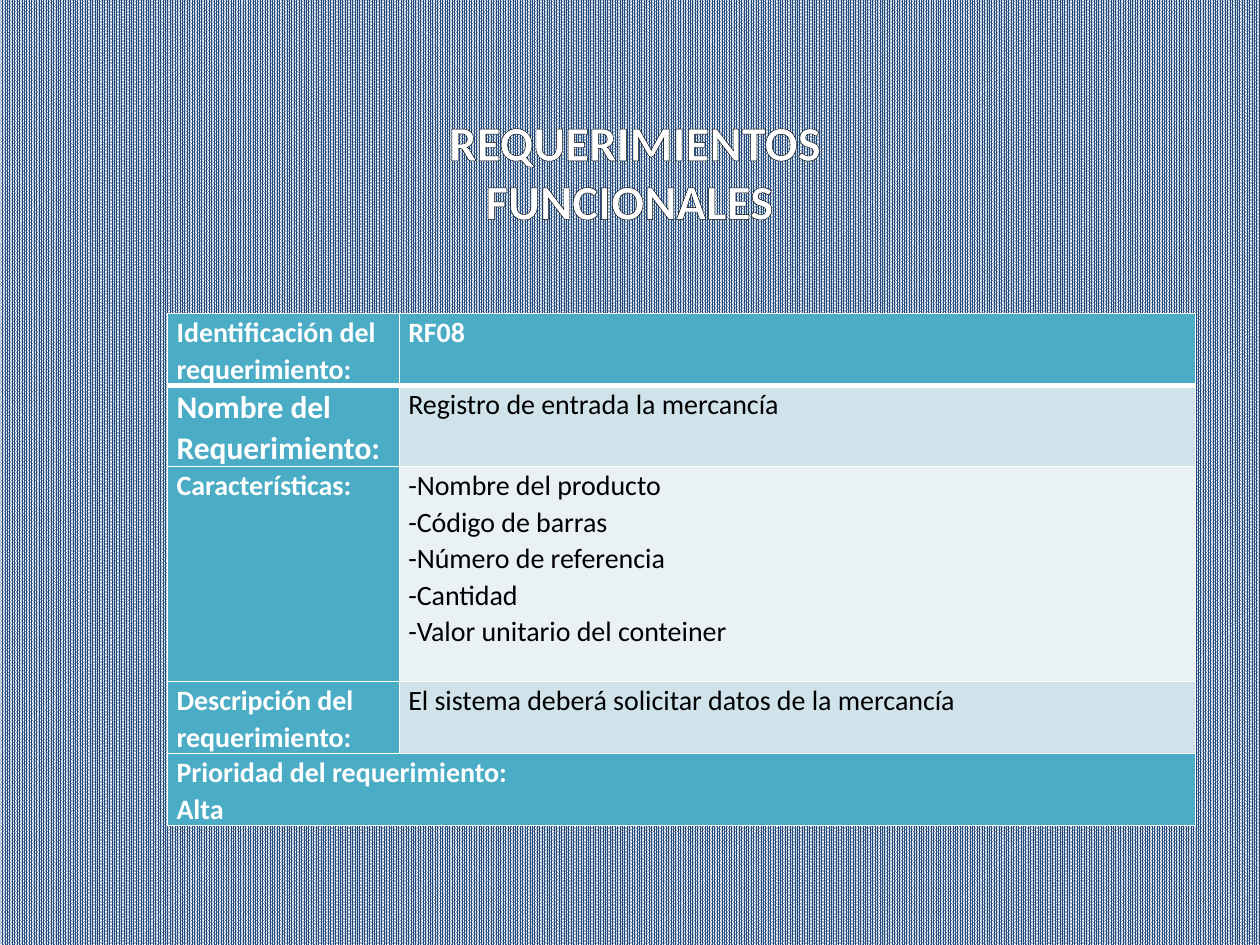
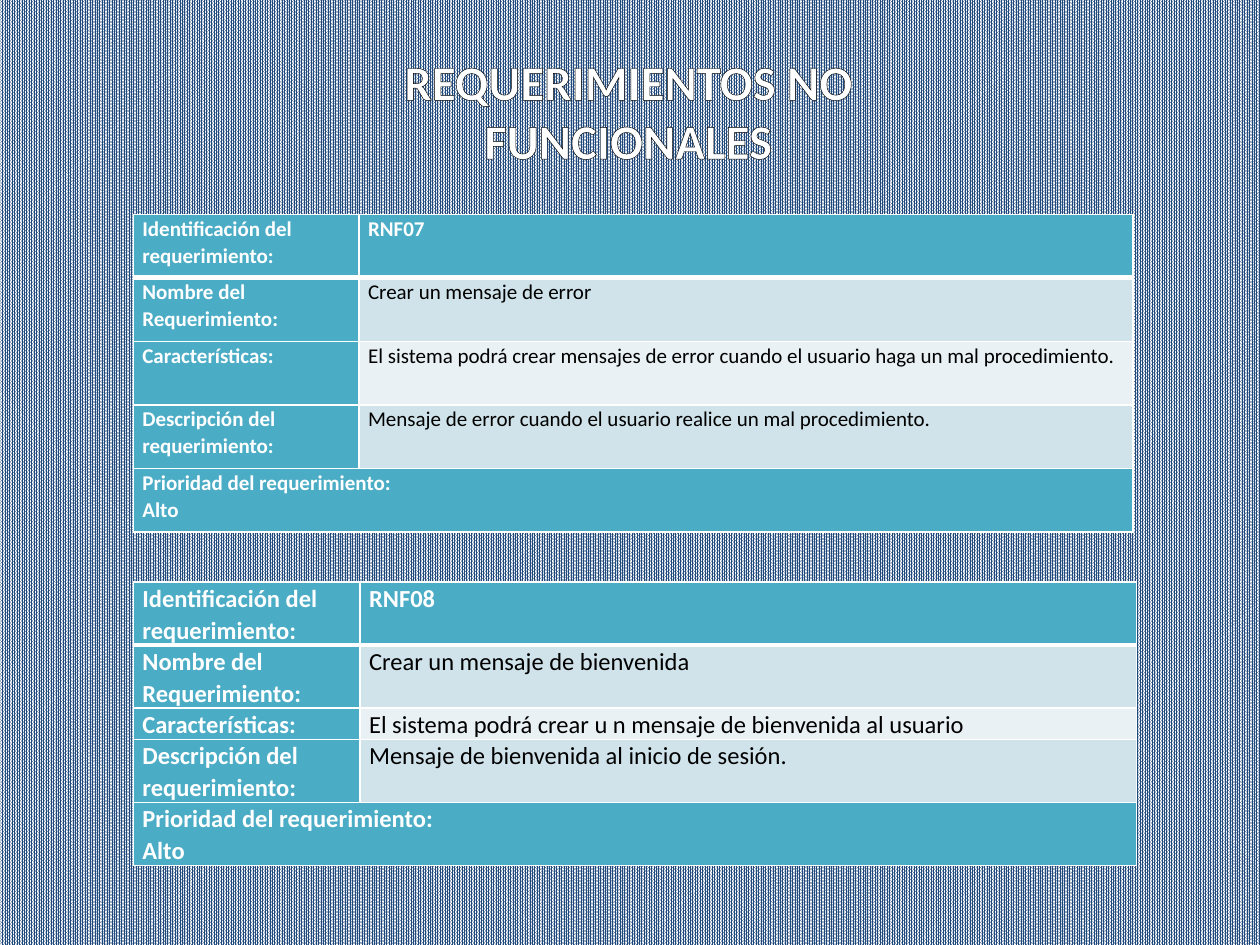
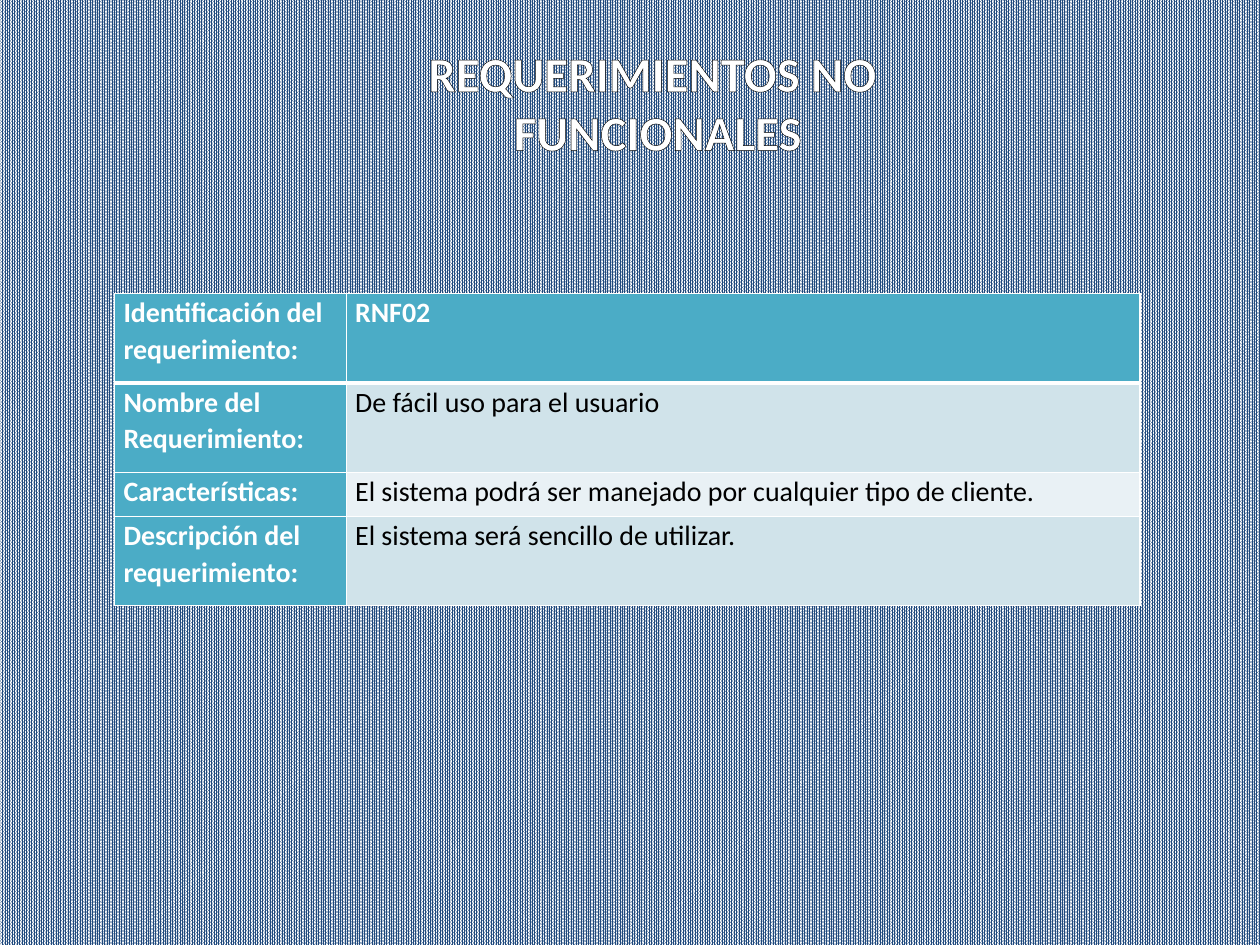
"""Build three slides of functional and non-functional requirement cards."""
from dataclasses import dataclass
from typing import Optional

from pptx import Presentation
from pptx import util as u
from pptx.dml import color
from pptx.enum import dml, text
from pptx.oxml import parse_xml
from pptx.oxml import ns

COLORS = {
    "backdrop": "1F497D",
    "white": "FFFFFF",
    "black": "000000",
    "accent": "4BACC6",
    "band": "D0E3EA",
    "pale_band": "E9F1F5",
}
FONT = "Calibri"
LABELS = (
    "Identificación del requerimiento:",
    "Nombre del Requerimiento:",
    "Características:",
    "Descripción del requerimiento:",
)
PRIORITY_LABEL = "Prioridad del requerimiento:"
CENTER = text.PP_ALIGN.CENTER


@dataclass(frozen=True)
class Title:
    left: float
    top: float
    width: float
    lines: tuple[str, ...]
    wrap: bool = True
    first_align: text.PP_ALIGN = CENTER


@dataclass(frozen=True)
class Requirement:
    left: float
    top: float
    columns: tuple[float, float]
    rows: tuple[float, ...]
    size: int
    values: tuple[str, ...]
    priority: Optional[str] = None
    name_size: Optional[int] = None


@dataclass(frozen=True)
class Page:
    title: Title
    requirements: tuple[Requirement, ...]


PAGES = (
    Page(
        Title(6.45, 2.13, 12.7, ("REQUERIMIENTOS FUNCIONALES ",)),
        (
            Requirement(
                3.38, 6.32, (4.67, 16.05), (1.45, 1.63, 4.34, 1.45, 1.45), 16,
                (
                    "RF08",
                    "Registro de entrada la mercancía",
                    "-Nombre del producto\n-Código de barras\n-Número de referencia\n"
                    "-Cantidad\n-Valor unitario del conteiner",
                    "El sistema deberá solicitar datos de la mercancía",
                ),
                priority="Alta", name_size=18,
            ),
        ),
    ),
    Page(
        Title(7.9, 0.91, 10.31, ("REQUERIMIENTOS NO", "FUNCIONALES"),
              wrap=False, first_align=text.PP_ALIGN.LEFT),
        (
            Requirement(
                2.69, 4.32, (4.55, 15.6), (1.28,) * 5, 12,
                (
                    "RNF07",
                    "Crear un mensaje de error",
                    "El sistema podrá crear mensajes de error cuando el usuario "
                    "haga un mal procedimiento.",
                    "Mensaje de error cuando el usuario realice un mal procedimiento.",
                ),
                priority="Alto",
            ),
            Requirement(
                2.69, 11.73, (4.57, 15.65), (1.27, 1.27, 0.63, 1.27, 1.27), 14,
                (
                    "RNF08",
                    "Crear un mensaje de bienvenida",
                    "El sistema podrá crear u n mensaje de bienvenida al usuario",
                    "Mensaje de bienvenida al inicio de sesión.",
                ),
                priority="Alto",
            ),
        ),
    ),
    Page(
        Title(6.91, 0.74, 12.7, ("REQUERIMIENTOS NO ", "FUNCIONALES")),
        (
            Requirement(
                2.31, 5.92, (4.67, 16.0), (1.8, 1.8, 0.89, 1.8), 16,
                (
                    "RNF02",
                    "De fácil uso para el usuario",
                    "El sistema podrá ser manejado por cualquier tipo de cliente.",
                    "El sistema será sencillo de utilizar.",
                ),
            ),
        ),
    ),
)


def rgb(name: str) -> color.RGBColor:
    """Return the named colour."""
    return color.RGBColor.from_string(COLORS[name])


def line_xml(tag: str, points: float, name: str):
    """Return a solid line element of the given tag and width."""
    return parse_xml(
        f'<a:{tag} {ns.nsdecls("a")} w="{u.Pt(points)}"><a:solidFill>'
        f'<a:srgbClr val="{COLORS[name]}"/></a:solidFill></a:{tag}>'
    )


def style_font(font, size: int, name: str, bold: bool) -> None:
    """Apply the shared typeface with a size, colour and weight."""
    font.name, font.size, font.bold = FONT, u.Pt(size), bold
    font.color.rgb = rgb(name)


def draw_title(page, title: Title) -> None:
    """Draw the outlined white heading."""
    box = page.shapes.add_textbox(
        u.Cm(title.left), u.Cm(title.top), u.Cm(title.width), u.Cm(2.64))
    frame = box.text_frame
    frame.word_wrap = title.wrap
    frame.auto_size = text.MSO_AUTO_SIZE.SHAPE_TO_FIT_TEXT
    frame.text = "\n".join(title.lines)
    for index, para in enumerate(frame.paragraphs):
        para.alignment = CENTER if index else title.first_align
        style_font(para.font, 28, "white", True)
        for span in para.runs:
            span._r.get_or_add_rPr().insert(0, line_xml("ln", 0.71, "black"))


def fill_cell(cell, content: str, size: int, fill: str,
              strong: bool = True, bottom: float = 1) -> None:
    """Write a cell with its borders, fill and text style."""
    cell.margin_left = cell.margin_right = u.Cm(0.18)
    cell.margin_top = cell.margin_bottom = 0
    properties = cell._tc.get_or_add_tcPr()
    for tag, width in (("lnL", 1), ("lnR", 1), ("lnT", 1), ("lnB", bottom)):
        properties.append(line_xml(tag, width, "white"))
    cell.fill.solid()
    cell.fill.fore_color.rgb = rgb(fill)
    cell.text_frame.text = content
    for para in cell.text_frame.paragraphs:
        para.line_spacing = 1.07
        style_font(para.font, size, "white" if strong else "black", strong)


def draw_requirement(page, card: Requirement) -> None:
    """Draw one requirement as a two-column table."""
    table = page.shapes.add_table(
        len(card.rows), 2, u.Cm(card.left), u.Cm(card.top),
        u.Cm(sum(card.columns)), u.Cm(sum(card.rows))).table
    for column, width in zip(table.columns, card.columns):
        column.width = u.Cm(width)
    for row, height in zip(table.rows, card.rows):
        row.height = u.Cm(height)
    for index, (label, value) in enumerate(zip(LABELS, card.values)):
        header = index == 0
        bottom = 3 if header else 1
        label_size = card.name_size if index == 1 and card.name_size else card.size
        band = "accent" if header else ("pale_band", "band")[index % 2]
        fill_cell(table.cell(index, 0), label, label_size, "accent", bottom=bottom)
        fill_cell(table.cell(index, 1), value, card.size, band, header, bottom)
    if card.priority:
        last = len(LABELS)
        table.cell(last, 0).merge(table.cell(last, 1))
        fill_cell(table.cell(last, 0), f"{PRIORITY_LABEL}\n{card.priority}",
                  card.size, "accent")


def paint_background(page) -> None:
    """Give the page its fine blue pattern."""
    fill = page.background.fill
    fill.patterned()
    fill.pattern = dml.MSO_PATTERN.PERCENT_90
    fill.fore_color.rgb = rgb("backdrop")
    fill.back_color.rgb = rgb("white")


def main() -> None:
    """Build and save the deck."""
    deck = Presentation()
    deck.slide_width, deck.slide_height = u.Cm(25.4), u.Cm(19.05)
    for content in PAGES:
        page = deck.slides.add_slide(deck.slide_layouts[6])
        paint_background(page)
        draw_title(page, content.title)
        for card in content.requirements:
            draw_requirement(page, card)
    deck.save("out.pptx")


if __name__ == "__main__":
    main()
